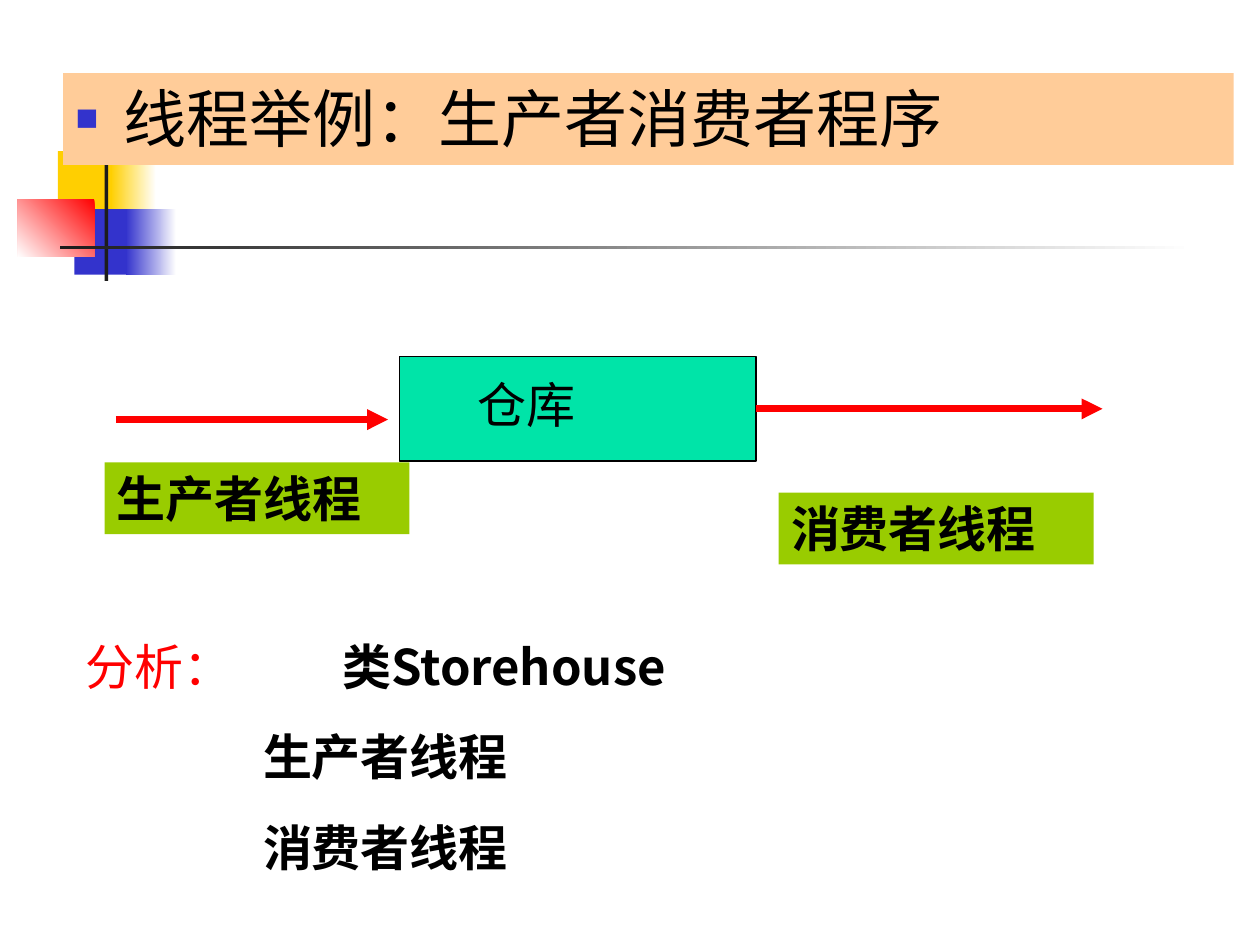
from lxml import etree
from pptx import Presentation
from pptx.dml.color import RGBColor
from pptx.enum.shapes import MSO_CONNECTOR, MSO_SHAPE
from pptx.enum.text import MSO_ANCHOR, MSO_AUTO_SIZE, PP_ALIGN
from pptx.oxml import parse_xml
from pptx.oxml.ns import nsdecls, qn
from pptx.util import Inches, Pt

RECTANGLE = MSO_SHAPE.RECTANGLE
STRAIGHT = MSO_CONNECTOR.STRAIGHT
RIGHT_SIDE = 3
RED, BLACK, LIME = "FF0000", "000000", "99CC00"

presentation = Presentation()
presentation.slide_width = Inches(10)
presentation.slide_height = Inches(7.5)
slide = presentation.slides.add_slide(presentation.slide_layouts[1])
shapes = slide.shapes


def add_rectangle(left, top, width, height, colors, angle=180):
    """Borderless rectangle: one colour is solid, two make a gradient."""
    shape = shapes.add_shape(RECTANGLE, *map(Inches, (left, top, width, height)))
    shape.shadow.inherit = False
    shape.line.fill.background()
    if len(colors) == 1:
        shape.fill.solid()
        shape.fill.fore_color.rgb = RGBColor.from_string(colors[0])
    else:
        shape.fill.gradient()
        shape.fill.gradient_angle = angle
        for stop, color in zip(shape.fill.gradient_stops, colors):
            stop.color.rgb = RGBColor.from_string(color)
    return shape


def write(paragraph, text, size=28, color=BLACK, bold=False, font="Lato", indent=0):
    """Add a run to the paragraph, with the paragraph's left indent in inches."""
    paragraph.alignment = PP_ALIGN.LEFT
    if indent:
        paragraph._p.get_or_add_pPr().set("marL", str(Inches(indent)))
    run = paragraph.add_run()
    run.text = text
    run.font.size = Pt(size)
    run.font.bold = bold
    run.font.name = font
    run.font.color.rgb = RGBColor.from_string(color)


# Corner ornament
add_rectangle(0.46, 1.2, 0.48, 0.52, ["FFCF01"])
add_rectangle(0.88, 1.2, 0.36, 0.52, ["FFFFFF", "FFCF01"])
add_rectangle(0.59, 1.66, 0.46, 0.52, ["3333CC"])
add_rectangle(1, 1.66, 0.4, 0.52, ["FFFFFF", "3333CC"])
add_rectangle(0.14, 1.58, 0.61, 0.46, [RED, "FFFFFF"], angle=225)
add_rectangle(0.83, 1.08, 0.03, 1.15, ["1C1C1C"])
add_rectangle(0.48, 1.95, 9, 0.03, ["FFFFFF", "1C1C1C"])

# Heading in the body placeholder, in front of the ornament
title, heading = slide.placeholders
title.element.getparent().remove(title.element)
shapes._spTree.append(heading.element)
heading.left, heading.top = Inches(0.5), Inches(0.58)
heading.width, heading.height = Inches(9.29), Inches(0.73)
heading.fill.solid()
heading.fill.fore_color.rgb = RGBColor.from_string("FFCC99")
heading.text_frame.auto_size = MSO_AUTO_SIZE.NONE
paragraph = heading.text_frame.paragraphs[0]
paragraph.space_before = Pt(0)
properties = paragraph._p.get_or_add_pPr()
properties.set("indent", str(Inches(-0.38)))
for bullet in ('<a:buClr {}><a:srgbClr val="3333CC"/></a:buClr>',
               '<a:buSzPct {} val="60000"/>',
               '<a:buChar {} char="■"/>'):
    properties.append(parse_xml(bullet.format(nsdecls("a"))))
write(paragraph, "线程举例：生产者消费者程序", size=36, indent=0.38)

# Warehouse
warehouse = add_rectangle(3.17, 2.83, 2.83, 0.83, ["00E4A8"])
warehouse.line.color.rgb = RGBColor.from_string(BLACK)
warehouse.line.width = Pt(0.75)
warehouse.text_frame.vertical_anchor = MSO_ANCHOR.TOP
warehouse.text_frame.margin_top = Inches(0.14)
write(warehouse.text_frame.paragraphs[0], "仓库", indent=0.52)

# Arrows into and out of the warehouse
arrow_in = shapes.add_connector(STRAIGHT, *map(Inches, (0.92, 3.33, 3.08, 3.33)))
arrow_out = shapes.add_connector(STRAIGHT, *map(Inches, (6, 3.25, 8.75, 3.25)))
arrow_out.begin_connect(warehouse, RIGHT_SIDE)
arrow_out.end_y = arrow_out.begin_y
for arrow in (arrow_in, arrow_out):
    arrow.line.color.rgb = RGBColor.from_string(RED)
    arrow.line.width = Pt(4)
    etree.SubElement(arrow.line._get_or_add_ln(), qn("a:tailEnd"), type="triangle")
    etree.SubElement(arrow._element.spPr, qn("a:effectLst"))

# Thread labels
for left, top, width, label in ((0.83, 3.67, 2.42, "生产者线程"),
                                (6.18, 3.91, 2.5, "消费者线程")):
    shape = add_rectangle(left, top, width, 0.57, [LIME])
    shape.text_frame.vertical_anchor = MSO_ANCHOR.TOP
    write(shape.text_frame.paragraphs[0], label, bold=True)

# Analysis
analysis = shapes.add_textbox(*map(Inches, (0.58, 5, 9, 1.99)))
frame = analysis.text_frame
frame.word_wrap = True
paragraph = frame.paragraphs[0]
tabs = etree.SubElement(paragraph._p.get_or_add_pPr(), qn("a:tabLst"))
etree.SubElement(tabs, qn("a:tab"), pos=str(Inches(2.04)), algn="l")
write(paragraph, "分析：\t", color=RED, font="Noto Sans CJK SC")
write(paragraph, "类Storehouse", bold=True, font="Noto Sans CJK SC")
for label in ("生产者线程", "消费者线程"):
    paragraph = frame.add_paragraph()
    paragraph.space_before = Pt(17.5)
    write(paragraph, label, bold=True, font="Noto Sans CJK SC", indent=1.41)
for paragraph in frame.paragraphs:
    paragraph.line_spacing = Pt(34)

presentation.save("out.pptx")
